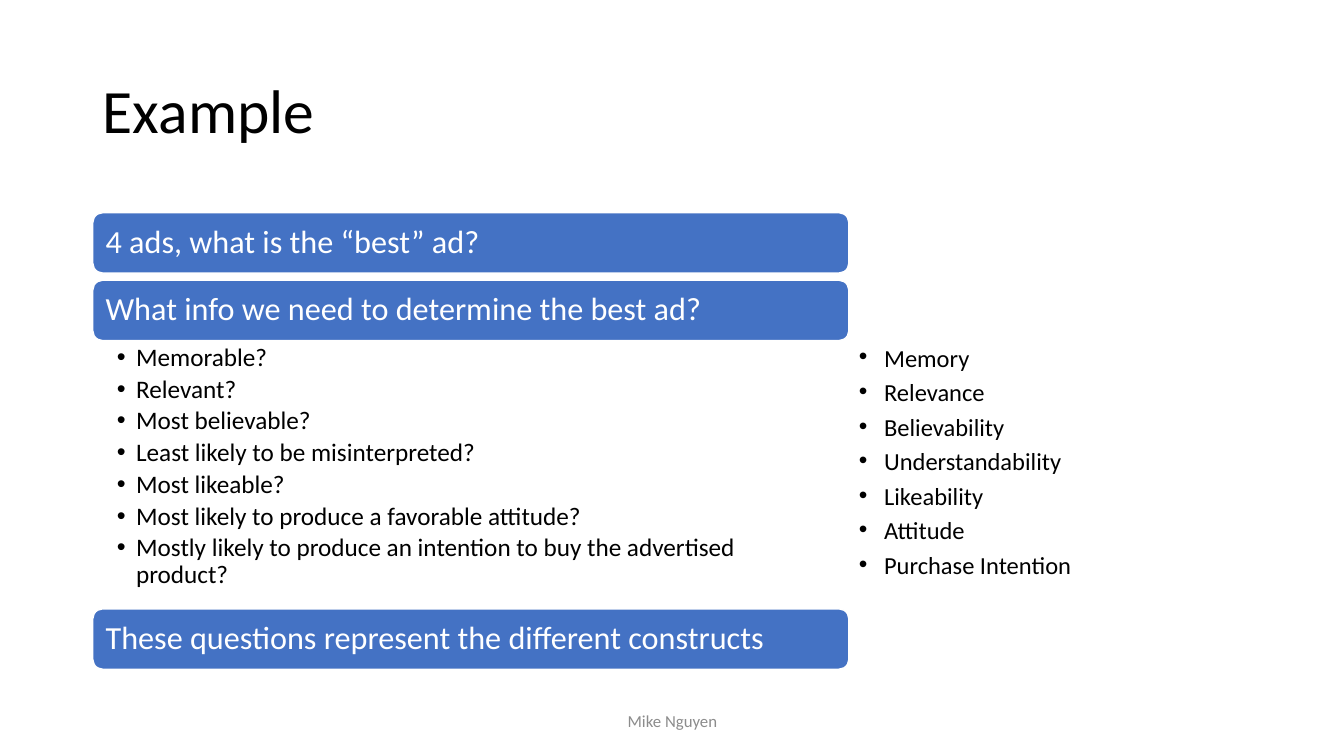
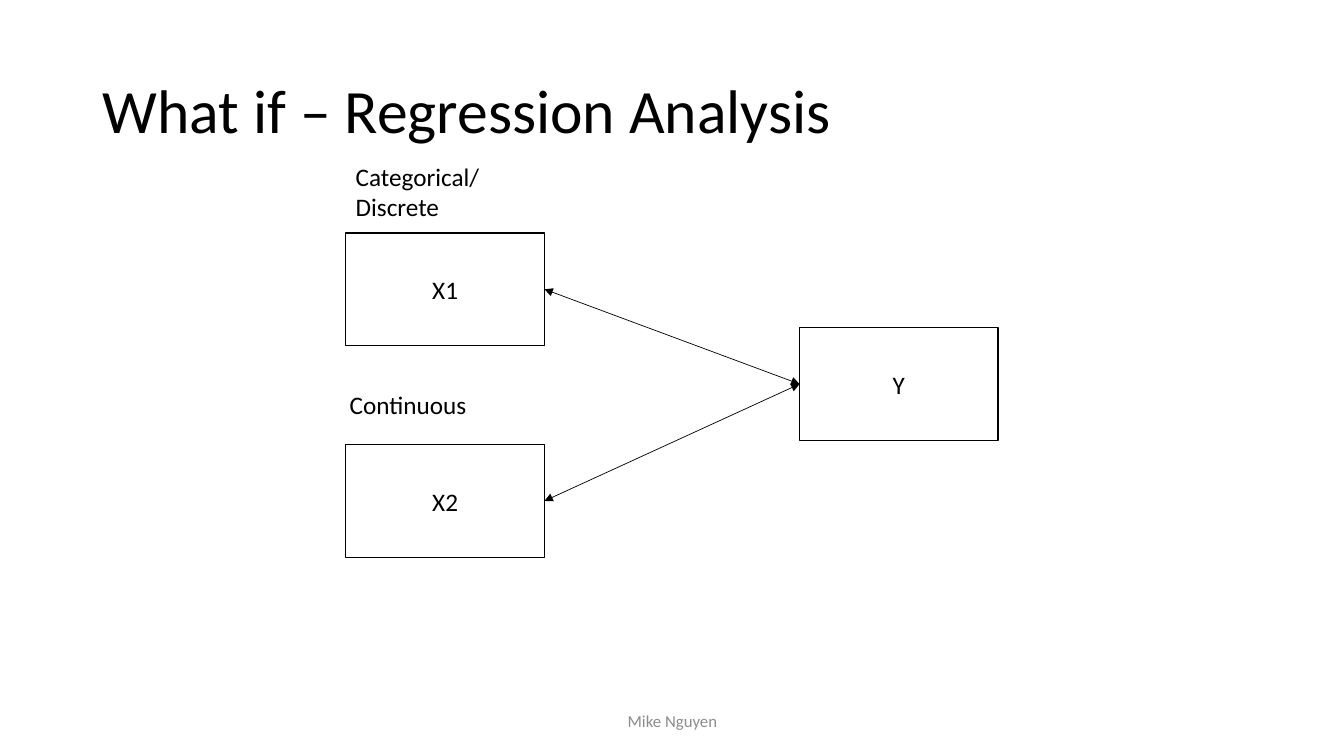
from lxml import etree
from pptx import Presentation
from pptx import util as u
from pptx.dml.color import RGBColor
from pptx.enum import shapes, text
from pptx.oxml import ns

Inches = u.Inches
FONT = "Calibri"
BLACK, WHITE, BLUE, GRAY = "000000", "FFFFFF", "4472C4", "8C8C8C"
LEFT, CENTER = text.PP_ALIGN.LEFT, text.PP_ALIGN.CENTER
TOP, MIDDLE = text.MSO_ANCHOR.TOP, text.MSO_ANCHOR.MIDDLE


def color(hex_string):
    return RGBColor.from_string(hex_string)


def write(shape, *lines, size=18, ink=BLACK, align=LEFT, anchor=TOP, spacing=1.0,
          before=0, after=0, bullet_indent=0, insets=(0.1, 0.05, 0.1, 0.05)):
    """Fill a shape with one paragraph per line; a bullet_indent in inches adds bullets."""
    frame = shape.text_frame
    frame.word_wrap = True
    frame.auto_size = text.MSO_AUTO_SIZE.NONE
    frame.vertical_anchor = anchor
    frame.margin_left, frame.margin_top, frame.margin_right, frame.margin_bottom = map(Inches, insets)
    for number, line in enumerate(lines):
        paragraph = frame.add_paragraph() if number else frame.paragraphs[0]
        paragraph.alignment = align
        paragraph.line_spacing = spacing
        paragraph.space_before, paragraph.space_after = u.Pt(before), u.Pt(after)
        run = paragraph.add_run()
        run.text = line
        run.font.name, run.font.size = FONT, u.Pt(size)
        run.font.color.rgb = color(ink)
        if bullet_indent:
            properties = paragraph._p.get_or_add_pPr()
            properties.set("marL", str(Inches(bullet_indent)))
            properties.set("indent", str(-Inches(bullet_indent)))
            etree.SubElement(properties, ns.qn("a:buFont"), typeface="Arial")
            etree.SubElement(properties, ns.qn("a:buChar"), char="•")


prs = Presentation()
prs.slide_width, prs.slide_height = Inches(13.33), Inches(7.5)

# Titles and footers
slides = []
for heading in ("Example", "What if – Regression Analysis"):
    slide = prs.slides.add_slide(prs.slide_layouts[5])
    title = slide.shapes.title
    title.left, title.top, title.width, title.height = map(Inches, (0.92, 0.4, 11.5, 1.45))
    write(title, heading, size=44, anchor=MIDDLE, spacing=0.9)
    footer = slide.shapes.add_textbox(*map(Inches, (4.42, 6.95, 4.5, 0.4)))
    write(footer, "Mike Nguyen", size=12, ink=GRAY, align=CENTER, anchor=MIDDLE)
    slides.append(slide)
example, regression = slides

# Slide 1: questions and the constructs behind them
for top, statement in (
    (2.11, "4 ads, what is the “best” ad?"),
    (2.78, "What info we need to determine the best ad?"),
    (6.04, "These questions represent the different constructs"),
):
    band = example.shapes.add_shape(
        shapes.MSO_SHAPE.ROUNDED_RECTANGLE, *map(Inches, (0.92, top, 7.5, 0.6)))
    band.shadow.inherit = False
    band.fill.solid()
    band.fill.fore_color.rgb = color(BLUE)
    band.line.color.rgb = color(WHITE)
    band.line.width = u.Pt(1)
    write(band, statement, size=23, ink=WHITE, anchor=MIDDLE, spacing=0.9,
          insets=(0.1, 0.07, 0.1, 0.07))

questions = example.shapes.add_textbox(*map(Inches, (0.92, 3.39, 7.5, 2.66)))
write(questions, "Memorable?", "Relevant?", "Most believable?",
      "Least likely to be misinterpreted?", "Most likeable?",
      "Most likely to produce a favorable attitude?",
      "Mostly likely to produce an intention to buy the advertised product?",
      spacing=0.9, after=3.2, bullet_indent=0.19, insets=(0.24, 0.03, 0.18, 0.03))

constructs = example.shapes.add_textbox(*map(Inches, (8.42, 3.43, 4.22, 2.47)))
write(constructs, "Memory", "Relevance", "Believability", "Understandability",
      "Likeability", "Attitude", "Purchase Intention",
      size=17.5, spacing=0.7, before=10, bullet_indent=0.25)

# Slide 2: two predictors linked to one outcome
variables = {}
for name, left, top in (("X1", 3.43, 2.31), ("Y", 7.93, 3.25), ("X2", 3.43, 4.41)):
    variable = regression.shapes.add_shape(
        shapes.MSO_SHAPE.RECTANGLE, *map(Inches, (left, top, 1.97, 1.12)))
    variable.shadow.inherit = False
    variable.fill.solid()
    variable.fill.fore_color.rgb = color(WHITE)
    variable.line.color.rgb = color(BLACK)
    variable.line.width = u.Pt(1)
    write(variable, name, align=CENTER, anchor=MIDDLE)
    variables[name] = variable

for predictor in ("X1", "X2"):
    link = regression.shapes.add_connector(shapes.MSO_CONNECTOR.STRAIGHT, 0, 0, 0, 0)
    link.begin_connect(variables[predictor], 3)
    link.end_connect(variables["Y"], 1)
    link.line.color.rgb = color(BLACK)
    link.line.width = u.Pt(0.5)
    for end in ("a:headEnd", "a:tailEnd"):
        etree.SubElement(link.line._get_or_add_ln(), ns.qn(end), type="triangle")
    etree.SubElement(link._element.spPr, ns.qn("a:effectLst"))

for left, top, height, lines in (
    (3.43, 1.55, 0.71, ("Categorical/", "Discrete")),
    (3.37, 3.81, 0.4, ("Continuous",)),
):
    scale_label = regression.shapes.add_textbox(*map(Inches, (left, top, 2.1, height)))
    write(scale_label, *lines)

prs.save("out.pptx")
